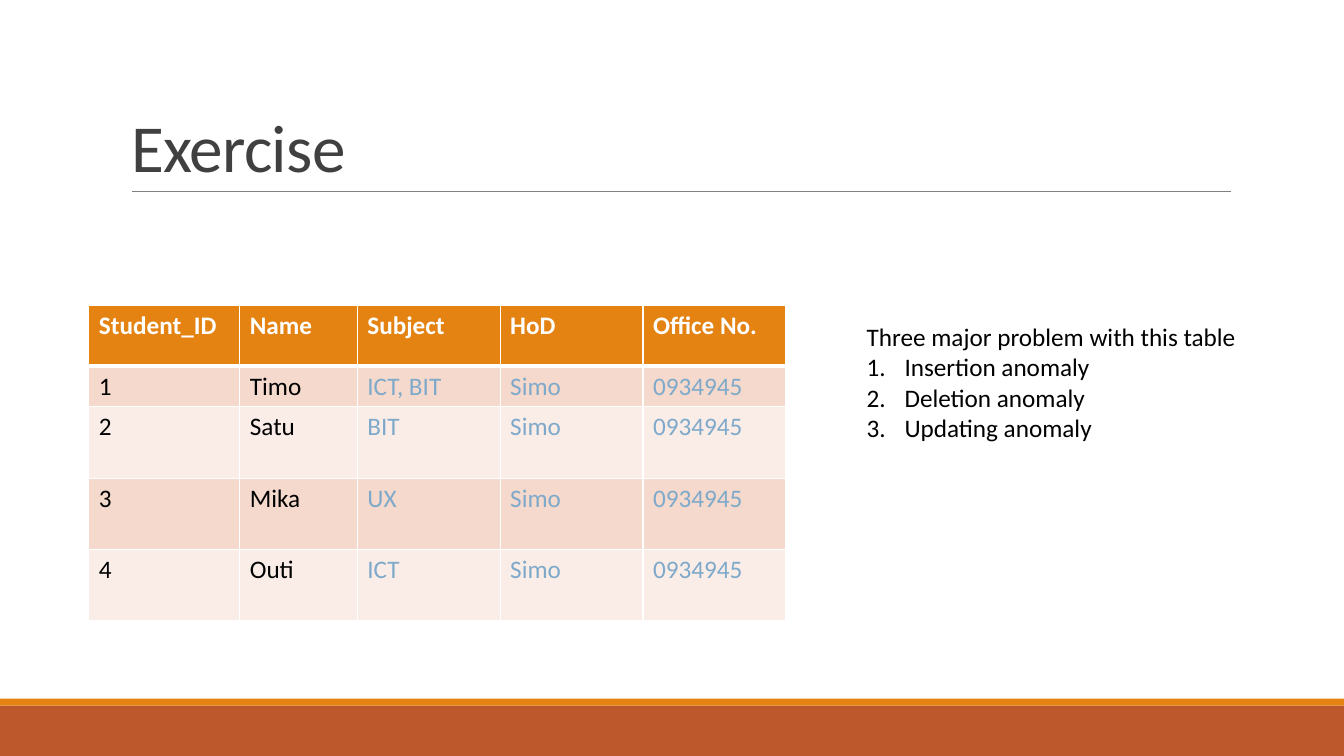
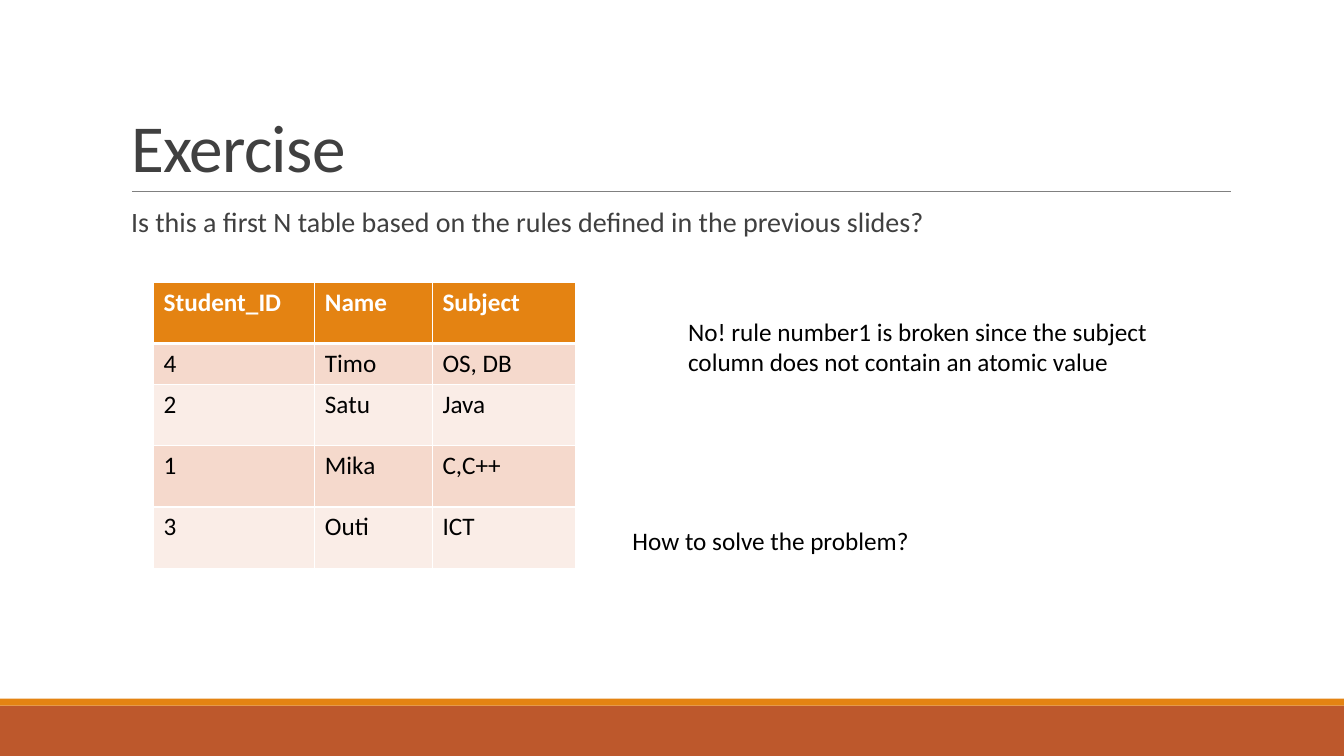
from lxml.etree import SubElement
from pptx import Presentation
from pptx.dml.color import RGBColor
from pptx.enum.shapes import MSO_CONNECTOR, MSO_SHAPE
from pptx.enum.text import MSO_ANCHOR, MSO_AUTO_SIZE, PP_ALIGN
from pptx.oxml.ns import qn
from pptx.util import Pt

RUST, GOLD, GREY, INK = "BD582C", "E48312", "404040", "000000"
BLUE, WHITE, RULE = "7EA9CA", "FFFFFF", "808080"
BANDS = ["F5D9CC", "FAEDE7"]


def paint(part, shade):
    if hasattr(part, "solid"):
        part.solid()
        part = part.fore_color
    part.rgb = RGBColor.from_string(shade)


def write(par, text, size=18, shade=INK, bold=False, track=0, lead=None,
          before=0, after=0, indent=0, hang=0, bullet="buNone"):
    par.alignment = PP_ALIGN.LEFT
    par.line_spacing = lead
    par.space_before, par.space_after = Pt(before), Pt(after)
    props = par._p.get_or_add_pPr()
    props.set("marL", str(Pt(indent)))
    props.set("indent", str(Pt(-hang)))
    mark = SubElement(props, qn("a:" + bullet))
    if bullet == "buAutoNum":
        mark.set("type", "arabicPeriod")
    run = par.add_run()
    run.text = text
    run.font.name, run.font.size, run.font.bold = "Calibri", Pt(size), bold
    paint(run.font.color, shade)
    if track:
        run._r.get_or_add_rPr().set("spc", str(track))


deck = Presentation()
deck.slide_width, deck.slide_height = Pt(960), Pt(540)

pages = [
    {
        "layout": 5,
        "place": (63.5, 218.2),
        "cols": [107.8, 84, 102, 102, 102],
        "rows": [43.2, 29.2, 51, 51, 51],
        "cells": [
            ["Student_ID", "Name", "Subject", "HoD", "Office No."],
            ["1", "Timo", "ICT, BIT", "Simo", "0934945"],
            ["2", "Satu", "BIT", "Simo", "0934945"],
            ["3", "Mika", "UX", "Simo", "0934945"],
            ["4", "Outi", "ICT", "Simo", "0934945"],
        ],
        "inks": [INK, INK, BLUE, BLUE, BLUE],
        "notes": [
            ((612, 226, 300, 138), "Three major problem with this table",
             ["Insertion anomaly", "Deletion anomaly", "Updating anomaly"]),
        ],
    },
    {
        "layout": 1,
        "lead": "Is this a first N table based on the rules defined in the previous slides?",
        "place": (109.7, 201.7),
        "cols": [115.2, 84, 102],
        "rows": [43.6, 29.2, 43.8, 43.8, 43.8],
        "cells": [
            ["Student_ID", "Name", "Subject"],
            ["4", "Timo", "OS, DB"],
            ["2", "Satu", "Java"],
            ["1", "Mika", "C,C++"],
            ["3", "Outi", "ICT"],
        ],
        "inks": [INK, INK, INK],
        "notes": [
            ((484.4, 222.5, 355, 73),
             "No! rule number1 is broken since the subject column does not contain an atomic value", []),
            ((444.7, 372, 480, 29), "How to solve the problem?", []),
        ],
    },
]

slides = [deck.slides.add_slide(deck.slide_layouts[page["layout"]]) for page in pages]

shapes = slides[0].shapes
shared = []
for top, height, shade in [(504, 36, RUST), (499, 5, GOLD)]:
    band = shapes.add_shape(MSO_SHAPE.RECTANGLE, Pt(0), Pt(top), Pt(960), Pt(height))
    band.shadow.inherit = False
    paint(band.fill, shade)
    band.line.fill.background()
    shared.append(band)
rule = shapes.add_connector(MSO_CONNECTOR.STRAIGHT, Pt(94.3), Pt(136.8), Pt(879), Pt(136.8))
paint(rule.line.fill, RULE)
rule.line.width = Pt(0.5)
SubElement(rule.element.spPr, qn("a:effectLst"))
shared.append(rule)
for index, shape in enumerate(shared):
    shape.element.xpath(".//p:cNvPr")[0].set("id", str(101 + index))
    deck.slide_master.shapes.element.append(shape.element)

for page, slide in zip(pages, slides):
    title = slide.shapes.title
    title.left, title.top, title.width, title.height = Pt(86.4), Pt(22.6), Pt(792), Pt(114.2)
    title.text_frame.vertical_anchor = MSO_ANCHOR.BOTTOM
    title.text_frame.auto_size = MSO_AUTO_SIZE.NONE
    write(title.text_frame.paragraphs[0], "Exercise", size=48, shade=GREY, track=-50, lead=0.85)

    if "lead" in page:
        body = slide.placeholders[1]
        body.left, body.top, body.width, body.height = Pt(86.4), Pt(145.4), Pt(792), Pt(316.8)
        frame = body.text_frame
        frame.margin_left = frame.margin_right = Pt(0)
        frame.auto_size = MSO_AUTO_SIZE.NONE
        write(frame.paragraphs[0], page["lead"], size=20, shade=GREY,
              lead=0.9, before=12, after=2, indent=7.2)

    cols, rows = page["cols"], page["rows"]
    left, top = page["place"]
    table = slide.shapes.add_table(len(rows), len(cols), Pt(left), Pt(top),
                                   Pt(sum(cols)), Pt(sum(rows))).table
    for col, width in zip(table.columns, cols):
        col.width = Pt(width)
    for r, height in enumerate(rows):
        table.rows[r].height = Pt(height)
        for c, text in enumerate(page["cells"][r]):
            cell = table.cell(r, c)
            props = cell._tc.get_or_add_tcPr()
            for side in "LRTB":
                thick = (r, side) in [(0, "B"), (1, "T")]
                edge = SubElement(props, qn("a:ln" + side), w=str(Pt(3 if thick else 1)))
                fill = SubElement(edge, qn("a:solidFill"))
                SubElement(fill, qn("a:srgbClr"), val=WHITE)
            head = r == 0
            paint(cell.fill, GOLD if head else BANDS[(r - 1) % 2])
            write(cell.text_frame.paragraphs[0], text, bold=head,
                  shade=WHITE if head else page["inks"][c])

    for place, text, items in page["notes"]:
        frame = slide.shapes.add_textbox(*map(Pt, place)).text_frame
        frame.word_wrap = True
        write(frame.paragraphs[0], text)
        for item in items:
            write(frame.add_paragraph(), item, indent=27, hang=27, bullet="buAutoNum")

deck.save("out.pptx")
